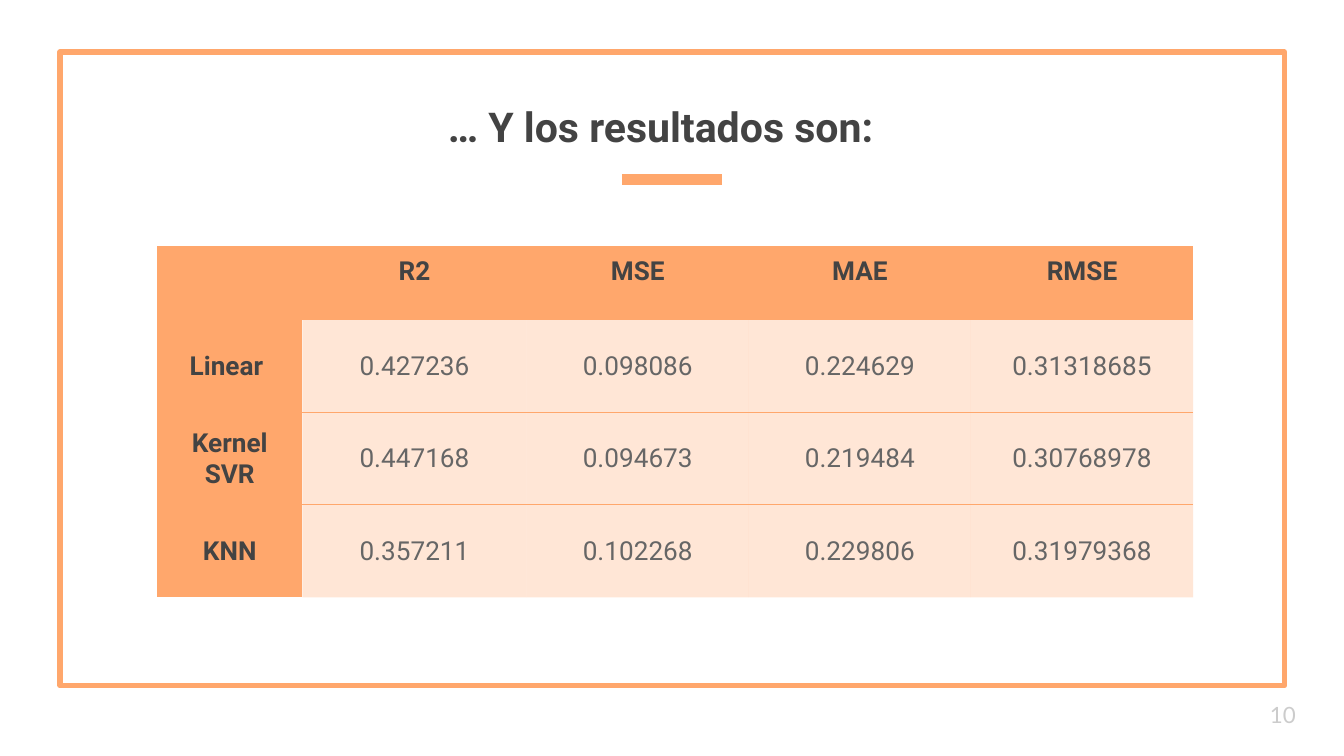
from lxml import etree
from pptx import Presentation
from pptx import util as u
from pptx.dml.color import RGBColor
from pptx.enum import shapes, text
from pptx.oxml import parse_xml
from pptx.oxml.ns import nsdecls, qn

ORANGE, DARK, GRAY, PALE = "FFA76C", "434343", "666666", "CCCCCC"


def color(value):
    return RGBColor.from_string(value)


def write(frame, words, size=14, font="Roboto", fill=DARK, bold=False,
          align=text.PP_ALIGN.CENTER):
    paragraph = frame.paragraphs[0]
    paragraph.alignment = align
    run = paragraph.add_run()
    run.text = words
    run.font.size = u.Pt(size)
    run.font.name = font
    run.font.bold = bold
    run.font.color.rgb = color(fill)


presentation = Presentation()
presentation.slide_width = u.Pt(720)
presentation.slide_height = u.Pt(405)
slide = presentation.slides.add_slide(presentation.slide_layouts[6])

# Frame around the slide
border = slide.shapes.add_shape(
    shapes.MSO_SHAPE.RECTANGLE, u.Pt(32.2), u.Pt(28), u.Pt(656), u.Pt(339.3))
border.shadow.inherit = False
border.fill.background()
border.line.color.rgb = color(ORANGE)
border.line.width = u.Pt(3)

# Short bar under the title
bar = slide.shapes.add_connector(
    shapes.MSO_CONNECTOR.STRAIGHT, u.Pt(333.2), u.Pt(96.2), u.Pt(386.8), u.Pt(96.2))
bar.line.color.rgb = color(ORANGE)
bar.line.width = u.Pt(6)
etree.SubElement(bar._element.spPr, qn("a:effectLst"))

# Results table
rows = [
    ["", "R2", "MSE", "MAE", "RMSE"],
    ["Linear ", "0.427236", "0.098086", "0.224629", "0.31318685"],
    ["Kernel SVR", "0.447168", "0.094673", "0.219484", "0.30768978"],
    ["KNN", "0.357211", "0.102268", "0.229806", "0.31979368"],
]
widths = [77.8, 120.2, 119, 119, 119]
heights = [39.5] + [49.5] * 3
graphic = slide.shapes.add_table(
    len(rows), len(widths), u.Pt(84.2), u.Pt(132), u.Pt(sum(widths)), u.Pt(sum(heights)))
table = graphic.table
# "No Style, No Grid"
table._tbl.tblPr.find(qn("a:tableStyleId")).text = "{2D5ABB26-0587-4C30-8999-92F81FD0307C}"
for column, width in zip(table.columns, widths):
    column.width = u.Pt(width)
for row, height in zip(table.rows, heights):
    row.height = u.Pt(height)

for r, values in enumerate(rows):
    for c, value in enumerate(values):
        cell = table.cell(r, c)
        heading = r == 0 or c == 0
        cell.margin_left = cell.margin_right = u.Pt(7.2)
        cell.margin_top = cell.margin_bottom = u.Pt(5)
        cell.vertical_anchor = text.MSO_ANCHOR.MIDDLE if r else text.MSO_ANCHOR.TOP
        cell.fill.solid()
        cell.fill.fore_color.rgb = color(ORANGE)
        if value:
            write(cell.text_frame, value, fill=DARK if heading else GRAY, bold=heading)
        if heading:
            continue
        # Tinted value cells with rules between the rows
        properties = cell._tc.tcPr
        tint = properties.find(qn("a:solidFill"))[0]
        etree.SubElement(tint, qn("a:alpha"), val="28000")
        sides = (["lnT"] if r > 1 else []) + (["lnB"] if r < len(rows) - 1 else [])
        for position, side in enumerate(sides):
            properties.insert(position, parse_xml(
                f'<a:{side} {nsdecls("a")} w="{u.Pt(0.75)}"><a:solidFill>'
                f'<a:srgbClr val="{ORANGE}"/></a:solidFill></a:{side}>'))

# Title and page number
labels = [
    ((92.9, 44.6, 522, 43.2), text.MSO_ANCHOR.BOTTOM, "… Y los resultados son:",
     dict(size=22, bold=True)),
    ((673.2, 367.2, 43.2, 31), text.MSO_ANCHOR.MIDDLE, "10",
     dict(size=12, font="Lato", fill=PALE, align=text.PP_ALIGN.LEFT)),
]
for box, anchor, words, style in labels:
    frame = slide.shapes.add_textbox(*map(u.Pt, box)).text_frame
    frame.word_wrap = True
    frame.vertical_anchor = anchor
    frame.margin_left = frame.margin_right = u.Pt(7.2)
    frame.margin_top = frame.margin_bottom = u.Pt(7.2)
    write(frame, words, **style)

presentation.save("out.pptx")
